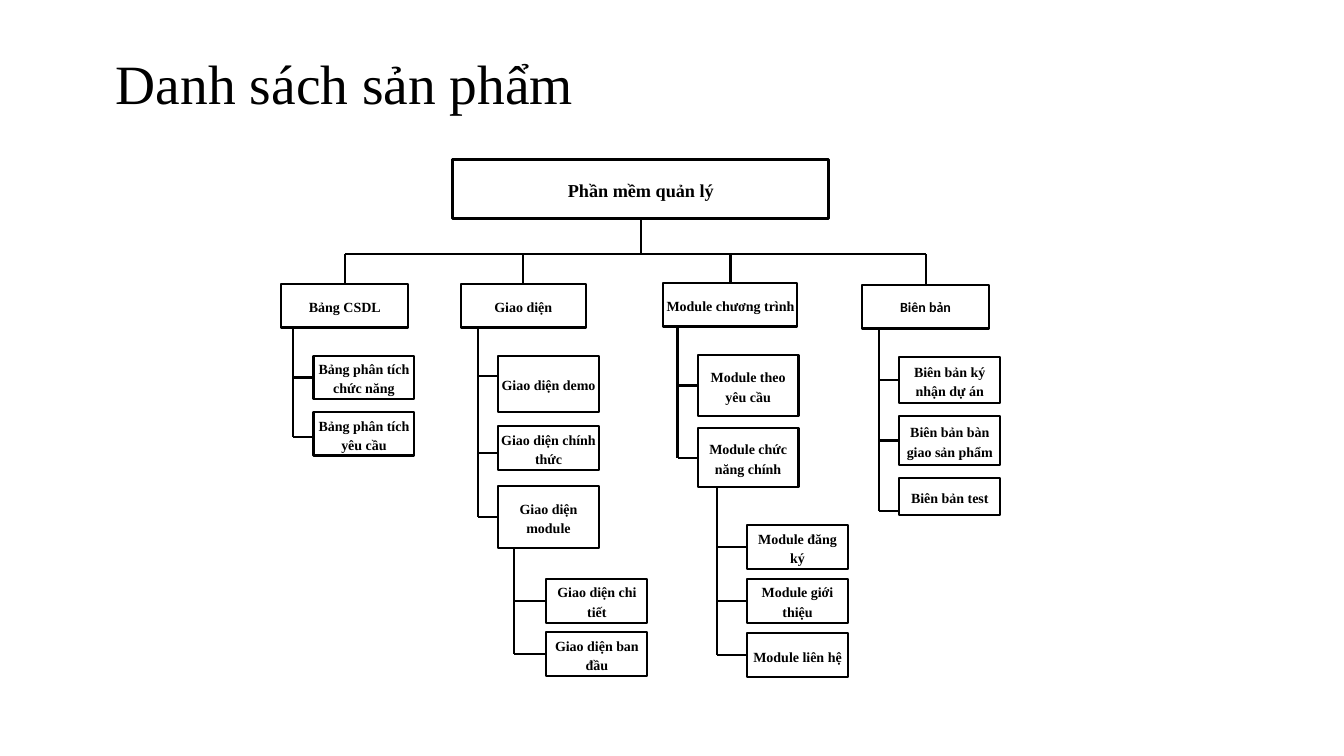
from dataclasses import dataclass

from pptx import Presentation
from pptx.dml.color import RGBColor
from pptx.enum.shapes import MSO_CONNECTOR, MSO_SHAPE
from pptx.enum.text import MSO_ANCHOR, MSO_AUTO_SIZE, PP_ALIGN
from pptx.oxml.xmlchemy import OxmlElement
from pptx.util import Inches, Pt


@dataclass(frozen=True)
class Theme:
    ink: RGBColor = RGBColor(0, 0, 0)
    paper: RGBColor = RGBColor(255, 255, 255)
    serif: str = "Times New Roman"
    sans: str = "Calibri"
    title_size: float = 39.6
    root_size: float = 13
    box_size: float = 10
    root_line: float = 2.5
    line: float = 1.5


theme = Theme()
TOP, LEFT, BOTTOM = 0, 1, 2  # connection sites of a rectangle


def write_text(shape, text, *, size=theme.box_size, font=theme.serif, bold=True,
               align=PP_ALIGN.CENTER, spacing=1.15, gap=1, inset=0.02):
    frame = shape.text_frame
    frame.word_wrap = True
    frame.auto_size = MSO_AUTO_SIZE.NONE
    frame.vertical_anchor = MSO_ANCHOR.MIDDLE
    frame.margin_left = frame.margin_right = Inches(inset)
    frame.margin_top = frame.margin_bottom = Inches(0.02)
    paragraph = frame.paragraphs[0]
    paragraph.alignment = align
    paragraph.line_spacing = spacing
    paragraph.space_before = paragraph.space_after = Pt(gap)
    run = paragraph.add_run()
    run.text = text
    run.font.size = Pt(size)
    run.font.name = font
    run.font.bold = bold
    run.font.color.rgb = theme.ink


def draw_line(x1, y1, x2, y2):
    line = slide.shapes.add_connector(
        MSO_CONNECTOR.STRAIGHT, Inches(x1), Inches(y1), Inches(x2), Inches(y2))
    line.line.color.rgb = theme.ink
    line.line.width = Pt(theme.line)
    line._element.spPr.append(OxmlElement("a:effectLst"))
    return line


prs = Presentation()
prs.slide_width, prs.slide_height = Inches(13.33), Inches(7.5)
slide = prs.slides.add_slide(prs.slide_layouts[5])

# Title
title = slide.shapes.title
title.left, title.top = Inches(1.05), Inches(0.53)
title.width, title.height = Inches(11.5), Inches(0.66)
write_text(title, "Danh sách sản phẩm", size=theme.title_size, bold=False,
           align=PP_ALIGN.LEFT, spacing=0.9, gap=0, inset=0.1)

# Product tree: root, headings as (text, left, top, width)
root = "Phần mềm quản lý"
headings = [
    ("Bảng CSDL", 2.79, 2.82, 1.26),
    ("Giao diện", 4.57, 2.82, 1.24),
    ("Module chương trình", 6.58, 2.81, 1.33),
    ("Biên bản", 8.55, 2.83, 1.26),
]
# Branches: parent, trunk x, child left, children as (text, top, height)
branches = [
    ("Bảng CSDL", 2.91, 3.11, [
        ("Bảng phân tích chức năng", 3.53, 0.43),
        ("Bảng phân tích yêu cầu", 4.09, 0.43)]),
    ("Giao diện", 4.74, 4.94, [
        ("Giao diện demo", 3.53, 0.56),
        ("Giao diện chính thức", 4.23, 0.43),
        ("Giao diện module", 4.82, 0.62)]),
    ("Giao diện module", 5.1, 5.42, [
        ("Giao diện chi tiết", 5.74, 0.44),
        ("Giao diện ban đầu", 6.27, 0.44)]),
    ("Module chương trình", 6.72, 6.92, [
        ("Module theo yêu cầu", 3.52, 0.61),
        ("Module chức năng chính", 4.25, 0.58)]),
    ("Module chức năng chính", 7.11, 7.41, [
        ("Module đăng ký", 5.21, 0.44),
        ("Module giới thiệu", 5.74, 0.44),
        ("Module liên hệ", 6.28, 0.44)]),
    ("Biên bản", 8.72, 8.92, [
        ("Biên bản ký nhận dự án", 3.54, 0.46),
        ("Biên bản bàn giao sản phẩm", 4.13, 0.48),
        ("Biên bản test", 4.74, 0.37)]),
]
# Stubs that meet their box away from the middle of its side
off_centre = {
    "Bảng phân tích yêu cầu": 4.34,
    "Giao diện demo": 3.73,
    "Giao diện chính thức": 4.49,
    "Biên bản test": 5.07,
}

# Boxes
places = {root: (4.49, 1.58, 3.73, 0.59)}
places.update({text: (left, top, width, 0.43) for text, left, top, width in headings})
for _, _, left, children in branches:
    places.update({text: (left, top, 1, height) for text, top, height in children})

boxes = {}
for text, place in places.items():
    box = slide.shapes.add_shape(MSO_SHAPE.RECTANGLE, *map(Inches, place))
    box.shadow.inherit = False
    box.fill.solid()
    box.fill.fore_color.rgb = theme.paper
    box.line.color.rgb = theme.ink
    box.line.width = Pt(theme.root_line if text == root else theme.line)
    write_text(box, text,
               size=theme.root_size if text == root else theme.box_size,
               font=theme.sans if text == "Biên bản" else theme.serif,
               spacing=1 if text == "Biên bản" else 1.15)
    boxes[text] = box

# Bus from the root to the headings
bus_y = 2.52
root_left, root_top, root_width, root_height = places[root]
root_x = root_left + root_width / 2
stem = draw_line(root_x, root_top + root_height, root_x, bus_y)
stem.begin_connect(boxes[root], BOTTOM)
centres = [left + width / 2 for _, left, _, width in headings]
draw_line(centres[0], bus_y, centres[-1], bus_y)
for (text, _, top, _), x in zip(headings, centres):
    drop = draw_line(x, bus_y, x, top)
    drop.end_connect(boxes[text], TOP)

# Trunks and stubs of each branch
for parent, trunk_x, child_left, children in branches:
    for text, top, height in children:
        stub_y = off_centre.get(text, top + height / 2)
        stub = draw_line(trunk_x, stub_y, child_left, stub_y)
        if text not in off_centre:
            stub.end_connect(boxes[text], LEFT)
    _, parent_top, _, parent_height = places[parent]
    draw_line(trunk_x, parent_top + parent_height, trunk_x, stub_y)

prs.save("out.pptx")
